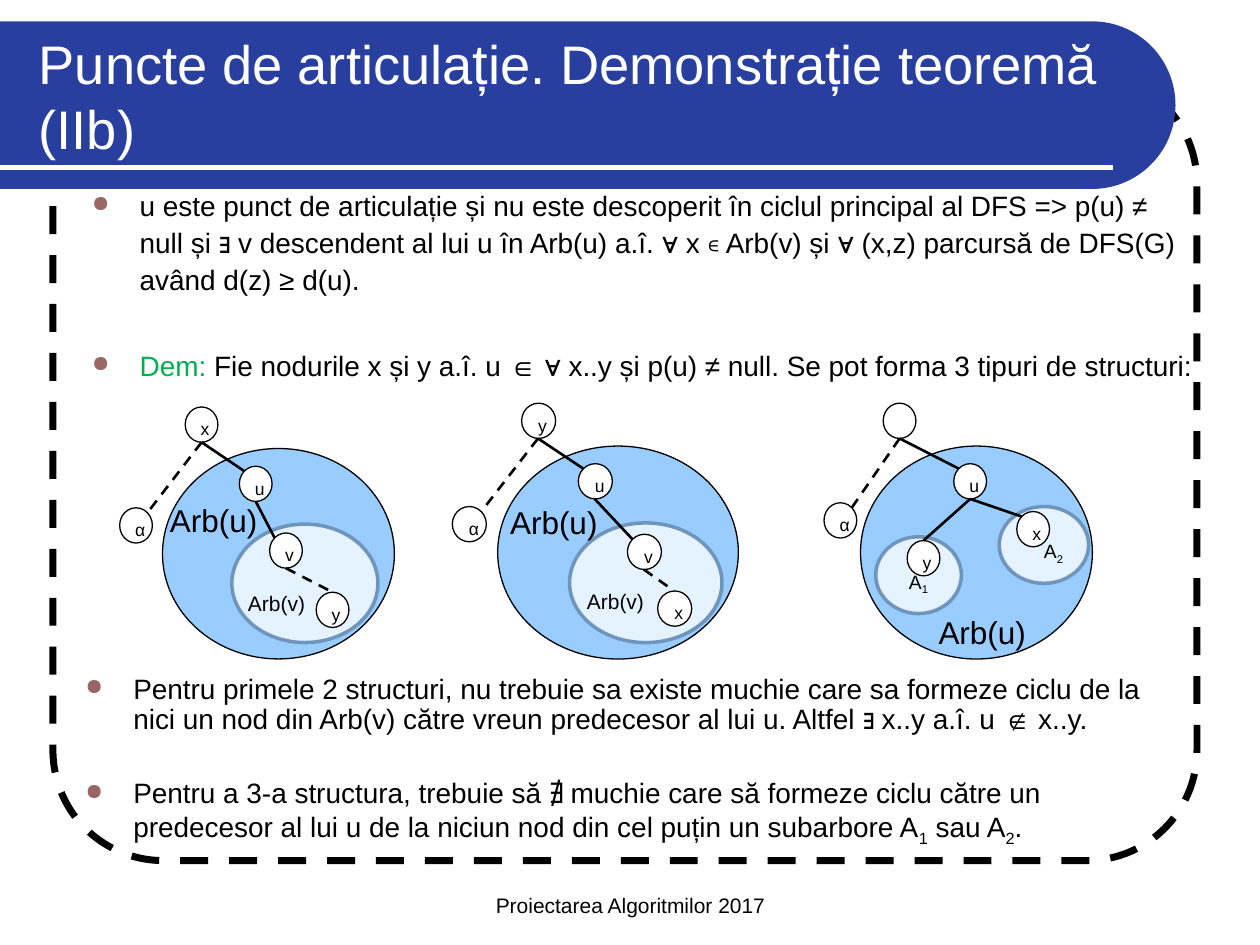
import math
from lxml import etree
from pptx import Presentation
from pptx.dml.color import RGBColor
from pptx.enum.dml import MSO_LINE
from pptx.enum.shapes import MSO_CONNECTOR, MSO_SHAPE
from pptx.enum.text import MSO_ANCHOR, PP_ALIGN
from pptx.oxml.ns import qn
from pptx.util import Pt

PX = 9144
OVAL, ROUNDED, STRAIGHT = MSO_SHAPE.OVAL, MSO_SHAPE.ROUNDED_RECTANGLE, MSO_CONNECTOR.STRAIGHT
DASH, SOLID = MSO_LINE.DASH, MSO_LINE.SOLID
LEFT, CENTER, RIGHT = PP_ALIGN.LEFT, PP_ALIGN.CENTER, PP_ALIGN.RIGHT
TOP, MIDDLE, BOTTOM = MSO_ANCHOR.TOP, MSO_ANCHOR.MIDDLE, MSO_ANCHOR.BOTTOM
BLACK, WHITE, BLUE, SKY, STEEL = "000000", "FFFFFF", "283FA0", "99CCFF", "6F95BC"
GREEN, BULLET = "00B050", "996666"
SUB, MATH = {"sub": True}, {"font": "Cambria"}
color = RGBColor.from_string

deck = Presentation()
deck.slide_width, deck.slide_height = 1000 * PX, 750 * PX
slide = deck.slides.add_slide(deck.slide_layouts[6])
shapes = slide.shapes


def draw_line(start, end, ink, width, dash=SOLID):
    line = shapes.add_connector(STRAIGHT, *[v * PX for v in (*start, *end)])
    line.line.color.rgb = color(ink)
    line.line.width = Pt(width)
    line.line.dash_style = dash
    etree.SubElement(line.element.spPr, qn("a:effectLst"))


def write(shape, paragraphs, size, ink=BLACK, align=LEFT, anchor=TOP):
    frame = shape.text_frame
    frame.word_wrap = True
    frame.vertical_anchor = anchor
    for i, pieces in enumerate(paragraphs):
        paragraph = frame.add_paragraph() if i else frame.paragraphs[0]
        paragraph.alignment = align
        for text, style in pieces:
            run = paragraph.add_run()
            run.text = text
            run.font.size = Pt(style.get("size", size))
            run.font.name = style.get("font", "Arial")
            run.font.color.rgb = color(style.get("ink", ink))
            if style.get("sub"):
                run.font._element.set("baseline", "-25000")


border = shapes.add_shape(ROUNDED, 42 * PX, 58 * PX, 908 * PX, 625 * PX)
border.adjustments[0] = 0.14
border.shadow.inherit = False
border.fill.background()
border.line.color.rgb = color(BLACK)
border.line.width = Pt(4)
border.line.dash_style = DASH

angles = [math.radians(a) for a in range(-90, 91, 3)]
cap = [(867 + 66 * math.cos(a), 83.5 + 66.5 * math.sin(a)) for a in angles]
outline = shapes.build_freeform(0, 17 * PX)
outline.add_line_segments([(round(x * PX), round(y * PX)) for x, y in cap + [(0, 150)]])
banner = outline.convert_to_shape()
banner.shadow.inherit = False
banner.fill.solid()
banner.fill.fore_color.rgb = color(BLUE)
banner.line.fill.background()
draw_line((0, 133), (883, 133), WHITE, 3)

big_t = {"size": 32}
title = [("Puncte de articula", {}), ("ț", big_t), ("ie. Demonstra", {}), ("ț", big_t),
         ("ie teoremă (IIb)", {})]
headings = [
    ((342, 683, 317, 50), title[:0] + [("Proiectarea Algoritmilor 2017", {})], 12, BLACK, CENTER, BOTTOM),
    ((21, 25, 877, 100), title, 31, WHITE, LEFT, MIDDLE),
]
for box, pieces, size, ink, align, anchor in headings:
    write(shapes.add_textbox(*[v * PX for v in box]), [pieces], size, ink, align, anchor)

theorem = [
    [("u este punct de articulație și nu este descoperit în ciclul principal al DFS => p(u) ≠ null "
      "și ∃ v descendent al lui u în Arb(u) a.î. ∀ x ", {}), ("∊", MATH),
     (" Arb(v) și ∀ (x,z) parcursă de DFS(G) având d(z) ≥ d(u).", {})],
    [("Dem: ", {"ink": GREEN}),
     ("Fie nodurile x și y a.î. u ∈ ∀ x..y și p(u) ≠ null. Se pot forma 3 tipuri de structuri:", {})],
]
conclusions = [
    [("Pentru primele 2 structuri, nu trebuie sa existe muchie care sa formeze ciclu de la nici un nod "
      "din Arb(v) către vreun predecesor al lui u. Altfel ∃ x..y a.î. u ∉ x..y.", {})],
    [("Pentru a 3-a structura, trebuie să ", {}), ("∄ ", MATH),
     ("muchie care să formeze ciclu către un predecesor al lui u de la niciun nod din cel puțin un "
      "subarbore A", {}), ("1", SUB), (" sau A", {}), ("2", SUB), (".", {})],
]
bullet_blocks = [((63, 142, 898, 178), theorem, 1.1, 28), ((58, 531, 867, 152), conclusions, 0.9, 25)]
for box, paragraphs, spacing, gap in bullet_blocks:
    block = shapes.add_textbox(*[v * PX for v in box])
    write(block, paragraphs, 16)
    for paragraph, before in zip(block.text_frame.paragraphs, (4, gap)):
        paragraph.line_spacing = spacing
        paragraph.space_before = Pt(before)
        props = paragraph._p.get_or_add_pPr()
        props.set("marL", str(38 * PX))
        props.set("indent", str(-38 * PX))
        tint = etree.SubElement(props, qn("a:buClr"))
        etree.SubElement(tint, qn("a:srgbClr"), val=BULLET)
        etree.SubElement(props, qn("a:buSzPct"), val="80000")
        etree.SubElement(props, qn("a:buChar"), char="●")

chain = [("top", "u", "left", SOLID), ("top", "α", "right", DASH),
         ("u", "v", "left", SOLID), ("v", "leaf", "top", DASH)]
fork = chain[:2] + [("u", "x", "left", SOLID), ("u", "y", "top", SOLID)]
trees = [
    {"whole": (129, 356, 184, 167), "subtrees": [((184, 416, 116, 94), [], LEFT)], "node": 26,
     "nodes": {"u": ("u", 190, 370), "top": ("x", 147, 323), "α": ("α", 95, 403),
               "v": ("v", 214, 423), "leaf": ("y", 251, 470)}, "edges": chain,
     "labels": [("Arb(u)", (125, 393, 92, 33), 18), ("Arb(v)", (187, 464, 70, 27), 12)]},
    {"whole": (395, 354, 191, 169), "subtrees": [((452, 415, 121, 95), [], LEFT)], "node": 27,
     "nodes": {"u": ("u", 459, 368), "top": ("y", 414, 320), "α": ("α", 359, 402),
               "v": ("v", 498, 424), "leaf": ("x", 522, 469)}, "edges": chain,
     "labels": [("Arb(u)", (395, 394, 97, 34), 18), ("Arb(v)", (456, 462, 73, 27), 12)]},
    {"whole": (683, 354, 184, 169), "node": 26,
     "subtrees": [((793, 402, 71, 61), [("A", {}), ("2", SUB)], RIGHT),
                  ((695, 426, 68, 61), [("A", {}), ("1", SUB)], CENTER)],
     "nodes": {"u": ("u", 757, 368), "top": ("", 701, 320), "α": ("α", 654, 399),
               "x": ("x", 807, 406), "y": ("y", 720, 429)}, "edges": fork,
     "labels": [("Arb(u)", (735, 482, 101, 34), 18)]},
]
for tree in trees:
    width, nodes = tree["node"], tree["nodes"]
    ports = {"left": (4, 4), "right": (width - 4, 4), "top": (width // 2, 0)}
    ovals = [(tree["whole"], SKY, BLACK, 0.75, [], 10, LEFT, TOP)]
    ovals += [(box, WHITE, STEEL, 2, name, 11, align, BOTTOM) for box, name, align in tree["subtrees"]]
    ovals += [((x, y, width, 28), WHITE, BLACK, 0.75, [(name, {})] if name else [], 10, LEFT, TOP)
              for name, x, y in nodes.values()]
    for box, fill, ink, weight, pieces, size, align, anchor in ovals:
        oval = shapes.add_shape(OVAL, *[v * PX for v in box])
        oval.shadow.inherit = False
        oval.fill.solid()
        oval.fill.fore_color.rgb = color(fill)
        oval.line.color.rgb = color(ink)
        oval.line.width = Pt(weight)
        if ink == STEEL:
            tone = oval.element.spPr.find(qn("a:solidFill"))[0]
            etree.SubElement(tone, qn("a:alpha"), val="75000")
        if pieces:
            write(oval, [pieces], size, BLACK, align, anchor)
    for parent, child, port, dash in tree["edges"]:
        _, px, py = nodes[parent]
        _, cx, cy = nodes[child]
        dx, dy = ports[port]
        draw_line((px + width // 2, py + 28), (cx + dx, cy + dy), BLACK, 1.5, dash)
    for name, box, size in tree["labels"]:
        write(shapes.add_textbox(*[v * PX for v in box]), [[(name, {})]], size)

deck.save("out.pptx")
